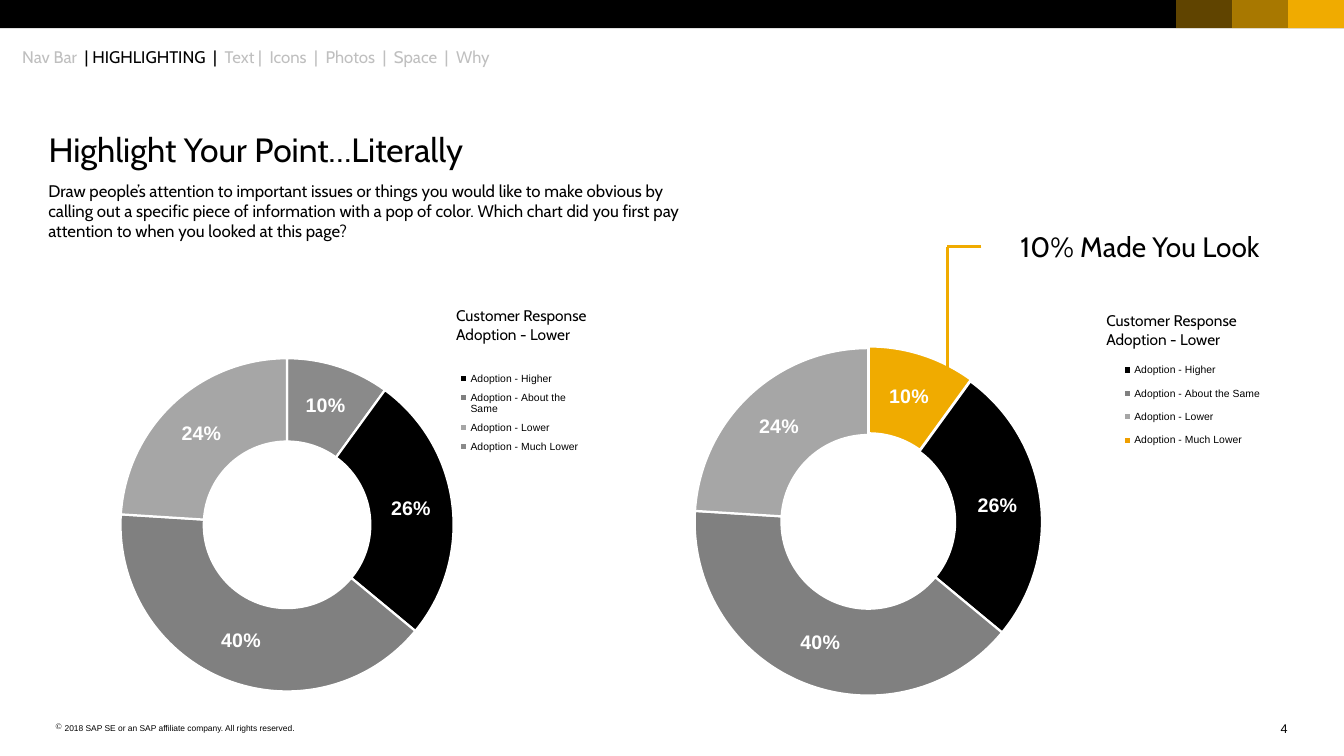
from copy import deepcopy
from dataclasses import dataclass

from pptx import Presentation
from pptx.chart.data import CategoryChartData
from pptx.dml.color import RGBColor
from pptx.enum.chart import XL_CHART_TYPE, XL_LEGEND_POSITION
from pptx.enum.shapes import MSO_CONNECTOR, MSO_SHAPE
from pptx.enum.text import MSO_ANCHOR, PP_ALIGN
from pptx.oxml import parse_xml
from pptx.oxml.ns import nsdecls
from pptx.util import Cm, Pt

RING = XL_CHART_TYPE.DOUGHNUT
RIGHT_KEY = XL_LEGEND_POSITION.RIGHT
RECT = MSO_SHAPE.RECTANGLE
LINE = MSO_CONNECTOR.STRAIGHT
TOP = MSO_ANCHOR.TOP
LEFT, MID, RIGHT = PP_ALIGN.LEFT, PP_ALIGN.CENTER, PP_ALIGN.RIGHT


@dataclass(frozen=True)
class Theme:
    head: str = "Cabin"
    body: str = "Arial"
    black: str = "000000"
    white: str = "FFFFFF"
    gold: str = "F0AB00"
    amber: str = "EF9F00"
    pale: str = "BFBFBF"
    light: str = "A6A6A6"
    grey: str = "808080"
    ash: str = "8A8A8A"
    title: float = 24
    call: float = 20
    label: float = 14
    text: float = 12
    note: float = 11
    page: float = 9
    key: float = 7.4
    foot: float = 6


T = Theme()
WIDE, HIGH = 33.88, 19.05
BAR, STEP = 0.71, 1.41
CATS = ["Adoption - Much Higher", "Adoption - Higher", "Adoption - About the Same",
        "Adoption - Lower", "Adoption - Much Lower"]
VALS = [10, 26, 40, 24, 0]
CAPTION = "Customer Response\nAdoption - Lower"
BODY = ("Draw people’s attention to important issues or things you would like to make "
        "obvious by calling out a specific piece of information with a pop of color. "
        "Which chart did you first pay attention to when you looked at this page?")
NAV = [("Nav Bar  ", T.pale), ("| HIGHLIGHTING  |  ", T.black),
       ("Text |  Icons  |  Photos  |  Space  |  Why", T.pale)]


def rgb(color):
    return RGBColor.from_string(color)


def style(font, size, color, name, bold=False):
    font.size, font.name, font.bold = Pt(size), name, bold
    font.color.rgb = rgb(color)


def write(shape, text, size=T.text, color=T.black, font=T.head, align=LEFT,
          pad=True, wrap=True, after=0, mark=None):
    """Fill a shape with one paragraph: a string, or (string, color) parts."""
    frame = shape.text_frame
    frame.word_wrap, frame.vertical_anchor = wrap, TOP
    if not pad:
        frame.margin_left = frame.margin_right = 0
        frame.margin_top = frame.margin_bottom = 0
    para = frame.paragraphs[0]
    para.alignment, para.space_after = align, Pt(after)
    if mark:
        props = para._p.get_or_add_pPr()
        props.set("marL", str(Cm(0.23)))
        props.set("indent", str(-Cm(0.23)))
        props.append(parse_xml(f'<a:buChar {nsdecls("a")} char="{mark}"/>'))
    parts = [(text, color)] if isinstance(text, str) else text
    for words, shade in parts:
        for i, line in enumerate(words.split("\n")):
            if i:
                para.add_line_break()
            run = para.add_run()
            run.text = line
            style(run.font, size, shade, font)
    for gap in para._p.xpath("a:br"):
        gap.insert(0, deepcopy(para.runs[0]._r.rPr))


def put(slide, x, y, w, h, text, **form):
    box = slide.shapes.add_textbox(Cm(x), Cm(y), Cm(w), Cm(h))
    write(box, text, **form)


def block(slide, x, y, w, h, color, alpha=100):
    rect = slide.shapes.add_shape(RECT, Cm(x), Cm(y), Cm(w), Cm(h))
    rect.shadow.inherit = False
    rect.fill.solid()
    rect.fill.fore_color.rgb = rgb(color)
    rect.line.fill.background()
    if alpha < 100:
        tint = rect.element.xpath("p:spPr/a:solidFill/a:srgbClr")[0]
        tint.append(parse_xml(f'<a:alpha {nsdecls("a")} val="{alpha * 1000}"/>'))
    return rect


def rule(slide, x1, y1, x2, y2):
    line = slide.shapes.add_connector(LINE, Cm(x1), Cm(y1), Cm(x2), Cm(y2))
    line.line.color.rgb = rgb(T.gold)
    line.line.width = Pt(2)
    line.element.spPr.append(parse_xml(f'<a:effectLst {nsdecls("a")}/>'))
    return line


def place(x, y, w, h, inner=False):
    """Manual chart layout, in fractions of the chart's frame."""
    rows = '<c:layoutTarget val="inner"/>' if inner else ""
    rows += '<c:xMode val="edge"/><c:yMode val="edge"/>'
    rows += "".join(f'<c:{k} val="{v}"/>' for k, v in zip("xywh", (x, y, w, h)))
    return parse_xml(f'<c:layout {nsdecls("c")}><c:manualLayout>{rows}'
                     '</c:manualLayout></c:layout>')


def hide(tag, idx):
    return parse_xml(f'<c:{tag} {nsdecls("c")}><c:idx val="{idx}"/>'
                     f'<c:delete val="1"/></c:{tag}>')


def ring(slide, x, y, w, h, colors, plot, key, burst=0):
    data = CategoryChartData()
    data.categories = CATS
    data.add_series("Series 1", VALS)
    chart = slide.shapes.add_chart(RING, Cm(x), Cm(y), Cm(w), Cm(h), data).chart
    chart.has_title = False
    style(chart.font, T.key, T.black, T.body)

    # Slices
    chart.plots[0].vary_by_categories = True
    row = chart.plots[0].series[0]
    for i, color in enumerate(colors):
        form = row.points[i].format
        form.fill.solid()
        form.fill.fore_color.rgb = rgb(color)
        form.line.color.rgb = rgb(T.white)
        form.line.width = Pt(1.6)
    root = chart.element
    if burst:
        root.xpath(".//c:dPt[1]/c:spPr")[0].addprevious(
            parse_xml(f'<c:explosion {nsdecls("c")} val="{burst}"/>'))
    for hole in root.xpath(".//c:holeSize"):
        hole.set("val", "56")

    # Percent labels, none on the empty slice
    tags = row.data_labels
    tags.show_percentage, tags.show_value = True, False
    tags.number_format, tags.number_format_is_linked = "0%", False
    style(tags.font, T.label, T.white, T.body, bold=True)
    root.xpath(".//c:ser/c:dLbls")[0].insert(0, hide("dLbl", len(VALS) - 1))

    # Legend without its first entry
    chart.has_legend = True
    chart.legend.position = RIGHT_KEY
    chart.legend.include_in_layout = False
    style(chart.legend.font, T.key, T.black, T.body)
    for old in root.xpath(".//c:plotArea/c:layout | .//c:legend/c:layout"):
        old.getparent().remove(old)
    root.xpath(".//c:plotArea")[0].insert(0, place(*plot, inner=True))
    side = root.xpath(".//c:legend/c:legendPos")[0]
    side.addnext(place(*key))
    side.addnext(hide("legendEntry", 0))


def main():
    deck = Presentation()
    deck.slide_width, deck.slide_height = Cm(WIDE), Cm(HIGH)
    slide = deck.slides.add_slide(deck.slide_layouts[5])

    # Title
    title = slide.shapes.title
    title.left, title.top, title.width, title.height = map(Cm, (0.97, 3.12, 16.89, 1.27))
    write(title, "Highlight Your Point…Literally", size=T.title)

    # Footer and top bar
    put(slide, 32.08, 18.16, 0.38, 0.38, "4", size=T.page, font=T.body,
        align=RIGHT, pad=False, wrap=False)
    put(slide, 1.4, 18.21, 6.3, 0.25,
        "2018 SAP SE or an SAP affiliate company. All rights reserved.",
        size=T.foot, font=T.body, pad=False, mark="©")
    block(slide, 0, 0, WIDE, BAR, T.black)
    for i, alpha in enumerate((100, 70, 40), 1):
        block(slide, WIDE - i * STEP, 0, STEP, BAR, T.gold, alpha)

    # Navigation and body text
    put(slide, 0.56, 1.19, 26.29, 0.51, NAV, pad=False)
    put(slide, 0.97, 4.42, 16.89, 1.8, BODY)

    # Charts with captions
    core = [T.black, T.grey, T.light]
    ring(slide, 1.78, 8.94, 16.05, 8.84, [T.ash, *core, T.ash],
         plot=(0.02, 0.01, 0.64, 0.95), key=(0.6, 0.03, 0.21, 0.27))
    put(slide, 11.25, 7.59, 5.97, 1.19, CAPTION, size=T.note)
    ring(slide, 15.49, 6.88, 16.84, 11.1, [T.gold, *core, T.amber],
         plot=(0.12, 0.17, 0.52, 0.79), key=(0.74, 0.18, 0.25, 0.24), burst=2)
    put(slide, 27.64, 7.72, 5.97, 1.19, CAPTION, size=T.note)

    # Callout
    call = block(slide, 24.74, 5.66, 8, 1.12, T.white)
    write(call, "10% Made You Look", size=T.call, align=MID, after=6)
    rule(slide, 23.88, 6.22, 23.88, 9.5)
    rule(slide, 24.74, 6.22, 23.88, 6.22).begin_connect(call, 1)

    deck.save("out.pptx")


if __name__ == "__main__":
    main()
